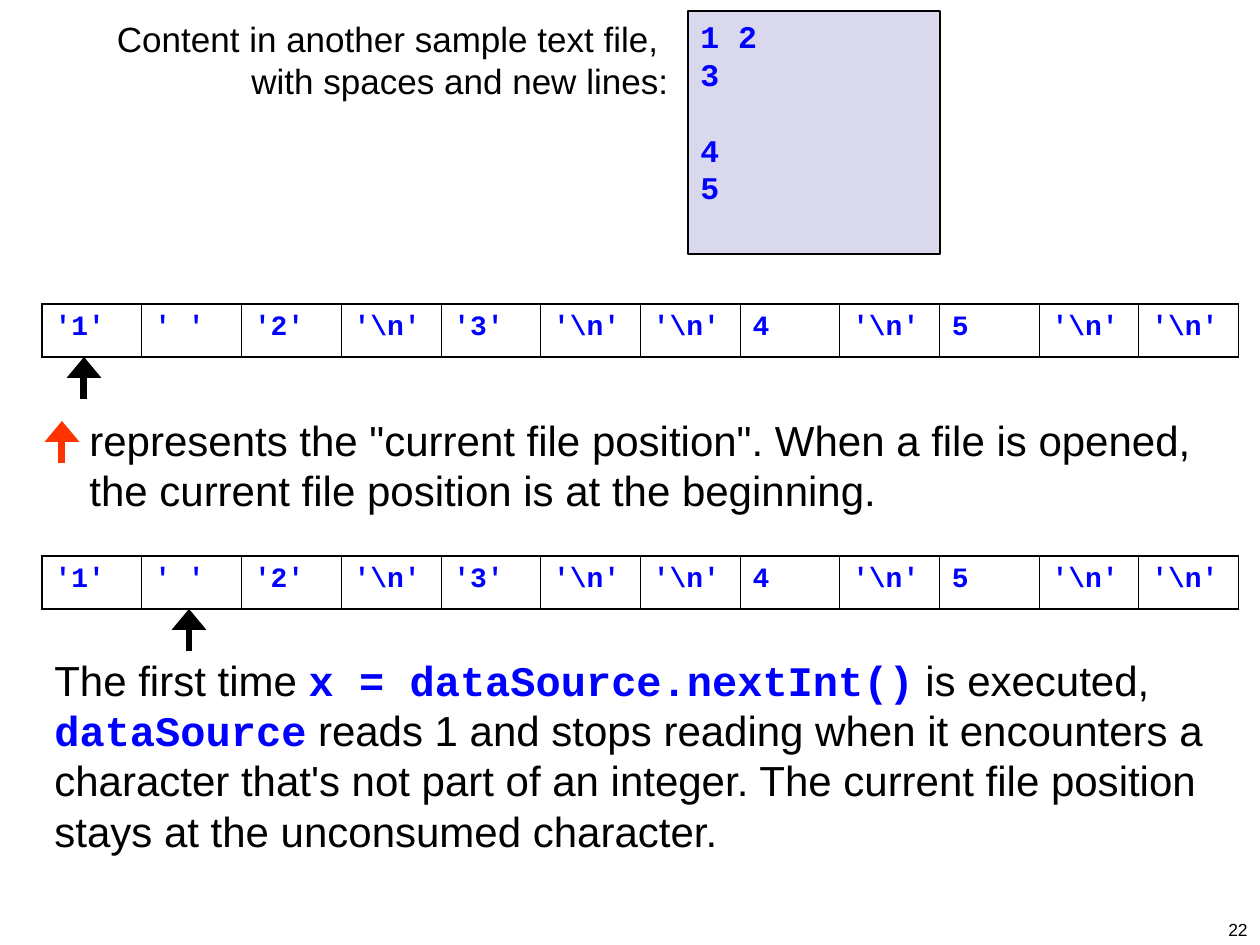
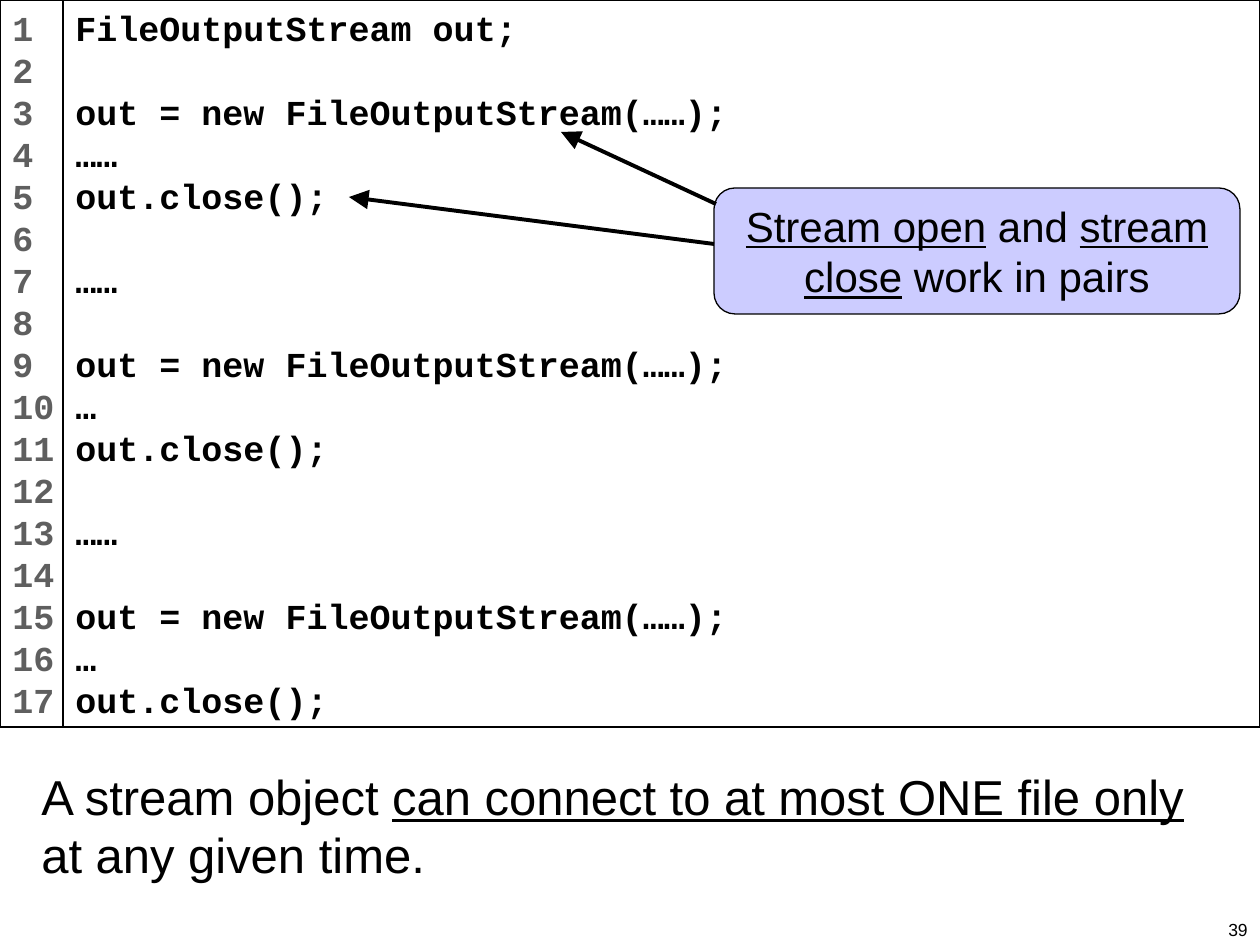
from dataclasses import dataclass

from lxml import etree
from pptx import Presentation
from pptx.dml.color import RGBColor
from pptx.enum.shapes import MSO_CONNECTOR, MSO_SHAPE
from pptx.enum.text import MSO_ANCHOR, PP_ALIGN
from pptx.oxml.ns import qn
from pptx.util import Emu, Pt

# Shared style
PX_PER_INCH = 126
SANS, MONO = "Arial", "Courier New"
BLACK, WHITE, BLUE, RED = "000000", "FFFFFF", "0000FF", "FF3300"
GREY, LILAC, LAVENDER = "5F5F5F", "D9D8EC", "CCCCFF"
LINE_FACTOR = 1.2
OUTER_BORDER, INNER_BORDER = 1.08, 0.45
LEFT, CENTER, RIGHT = PP_ALIGN.LEFT, PP_ALIGN.CENTER, PP_ALIGN.RIGHT
TOP, MIDDLE, BOTTOM = MSO_ANCHOR.TOP, MSO_ANCHOR.MIDDLE, MSO_ANCHOR.BOTTOM
RECTANGLE, ROUNDED = MSO_SHAPE.RECTANGLE, MSO_SHAPE.ROUNDED_RECTANGLE
STRAIGHT = MSO_CONNECTOR.STRAIGHT


@dataclass(frozen=True)
class Area:
    left: int
    top: int
    width: int
    height: int


@dataclass(frozen=True)
class Span:
    text: str
    underline: bool = False
    code: bool = False


@dataclass(frozen=True)
class Arrow:
    start: tuple[int, int]
    tip: tuple[int, int]
    color: str = BLACK
    weight: float = 2.25
    head_length: str = "lg"


def px(length: int) -> Emu:
    return Emu(round(length * 914400 / PX_PER_INCH))


def rgb(color: str) -> RGBColor:
    return RGBColor.from_string(color)


def place(area: Area) -> tuple[Emu, Emu, Emu, Emu]:
    return px(area.left), px(area.top), px(area.width), px(area.height)


# Text
def write(frame, lines, *, size: int, font: str = SANS, color: str = BLACK,
          bold: bool = False, align=LEFT, anchor=TOP) -> None:
    """Write lines of text or spans; an empty line becomes space before the next."""
    frame.word_wrap = True
    frame.vertical_anchor = anchor
    pitch = size * LINE_FACTOR
    gap = 0
    para = None
    for line in lines:
        if not line:
            gap += pitch
            continue
        para = frame.add_paragraph() if para is not None else frame.paragraphs[0]
        para.alignment = align
        para.line_spacing = Pt(pitch)
        para.space_before = Pt(gap)
        gap = 0
        for span in [Span(line)] if isinstance(line, str) else line:
            run = para.add_run()
            run.text = span.text
            run.font.size = Pt(size)
            run.font.name = MONO if span.code else font
            run.font.color.rgb = rgb(BLUE if span.code else color)
            run.font.bold = bold or span.code
            run.font.underline = span.underline


def add_label(page, area: Area, lines, **text_format) -> None:
    box = page.shapes.add_textbox(*place(area))
    write(box.text_frame, lines, **text_format)


def add_panel(page, area: Area, lines, *, fill: str, kind=RECTANGLE,
              right_inset: int | None = None, **text_format) -> None:
    panel = page.shapes.add_shape(kind, *place(area))
    panel.shadow.inherit = False
    panel.fill.solid()
    panel.fill.fore_color.rgb = rgb(fill)
    panel.line.color.rgb = rgb(BLACK)
    panel.line.width = Pt(0.75)
    if right_inset is not None:
        panel.text_frame.margin_right = px(right_inset)
    write(panel.text_frame, lines, **text_format)


# Lines and tables
def add_arrow(page, arrow: Arrow) -> None:
    ends = [px(value) for value in (*arrow.start, *arrow.tip)]
    connector = page.shapes.add_connector(STRAIGHT, *ends)
    connector.line.color.rgb = rgb(arrow.color)
    connector.line.width = Pt(arrow.weight)
    head = etree.SubElement(connector.line._get_or_add_ln(), qn("a:tailEnd"))
    for name, value in (("type", "triangle"), ("w", "lg"), ("len", arrow.head_length)):
        head.set(name, value)
    etree.SubElement(connector._element.spPr, qn("a:effectLst"))


def add_position_arrow(page, x: int, top: int, color: str = BLACK) -> None:
    add_arrow(page, Arrow((x, top + 42), (x, top), color, 4, "med"))


def set_border(cell, side: str, weight: float) -> None:
    border = etree.SubElement(cell._tc.get_or_add_tcPr(), qn(f"a:ln{side}"))
    border.set("w", str(Pt(weight)))
    fill = etree.SubElement(border, qn("a:solidFill"))
    etree.SubElement(fill, qn("a:srgbClr")).set("val", BLACK)


def add_character_strip(page, area: Area, characters: list[str]) -> None:
    table = page.shapes.add_table(1, len(characters), *place(area)).table
    table.first_row = False
    table.horz_banding = False
    last = len(characters) - 1
    for index, character in enumerate(characters):
        table.columns[index].width = px(area.width) // len(characters)
        cell = table.cell(0, index)
        write(cell.text_frame, [character], size=16, font=MONO, color=BLUE, bold=True)
        set_border(cell, "L", OUTER_BORDER if index == 0 else INNER_BORDER)
        set_border(cell, "R", OUTER_BORDER if index == last else INNER_BORDER)
        set_border(cell, "T", OUTER_BORDER)
        set_border(cell, "B", OUTER_BORDER)
        cell.fill.background()


def add_page(deck, number: int):
    page = deck.slides.add_slide(deck.slide_layouts[6])
    page.background.fill.solid()
    page.background.fill.fore_color.rgb = rgb(WHITE)
    add_label(page, Area(966, 883, 294, 63), [str(number)],
              size=10, align=RIGHT, anchor=BOTTOM)
    return page


# Slides
def build_file_position(deck) -> None:
    page = add_page(deck, 22)

    # Sample file
    add_label(page, Area(74, 11, 607, 97),
              ["Content in another sample text file, ", "with spaces and new lines:"],
              size=20, align=RIGHT)
    add_panel(page, Area(688, 11, 252, 243), ["1 2", "3", "", "4", "5"],
              fill=LILAC, size=18, font=MONO, color=BLUE, bold=True)

    # Characters of the file, with the position before and after one read
    characters = ["'1'", "' '", "'2'", r"'\n'", "'3'", r"'\n'", r"'\n'",
                  "4", r"'\n'", "5", r"'\n'", r"'\n'"]
    for top, arrow_x in ((304, 84), (556, 189)):
        add_character_strip(page, Area(42, top, 1197, 53), characters)
        add_position_arrow(page, arrow_x, top + 53)

    # Explanations
    add_position_arrow(page, 62, 421, RED)
    add_label(page, Area(77, 408, 1128, 95),
              ['represents the "current file position". When a file is opened, '
               "the current file position is at the beginning."], size=24)
    add_label(page, Area(42, 648, 1197, 214), [[
        Span("The first time "),
        Span("x = dataSource.nextInt()", code=True),
        Span(" is executed, "),
        Span("dataSource", code=True),
        Span(" reads 1 and stops reading when it encounters a character that's "
             "not part of an integer. The current file position stays at the "
             "unconsumed character."),
    ]], size=24)


def build_stream_pairs(deck) -> None:
    page = add_page(deck, 39)

    # Numbered code listing
    opening, closing = "out = new FileOutputStream(……);", "out.close();"
    code = ["FileOutputStream out;", "",
            opening, "……", closing, "", "……", "",
            opening, "…", closing, "", "……", "",
            opening, "…", closing]
    numbers = [str(number) for number in range(1, len(code) + 1)]
    listing = {"fill": WHITE, "size": 20, "font": MONO, "bold": True}
    add_panel(page, Area(63, 0, 1197, 727), code, **listing)
    add_panel(page, Area(0, 0, 63, 727), numbers, color=GREY, right_inset=0, **listing)

    # Callout with arrows to the open and close calls
    add_panel(page, Area(714, 188, 526, 126), [[
        Span("Stream open", underline=True), Span(" and "),
        Span("stream close", underline=True), Span(" work in pairs"),
    ]], fill=LAVENDER, kind=ROUNDED, size=24, align=CENTER, anchor=MIDDLE)
    for arrow in (Arrow((716, 204), (561, 132)), Arrow((714, 244), (349, 197))):
        add_arrow(page, arrow)

    # Conclusion
    add_label(page, Area(29, 760, 1210, 154), [[
        Span("A stream object "),
        Span("can connect to at most ONE file only", underline=True),
        Span(" at any given time."),
    ]], size=28)


def main() -> None:
    deck = Presentation()
    deck.slide_width, deck.slide_height = px(1260), px(945)
    build_file_position(deck)
    build_stream_pairs(deck)
    deck.save("out.pptx")


if __name__ == "__main__":
    main()
